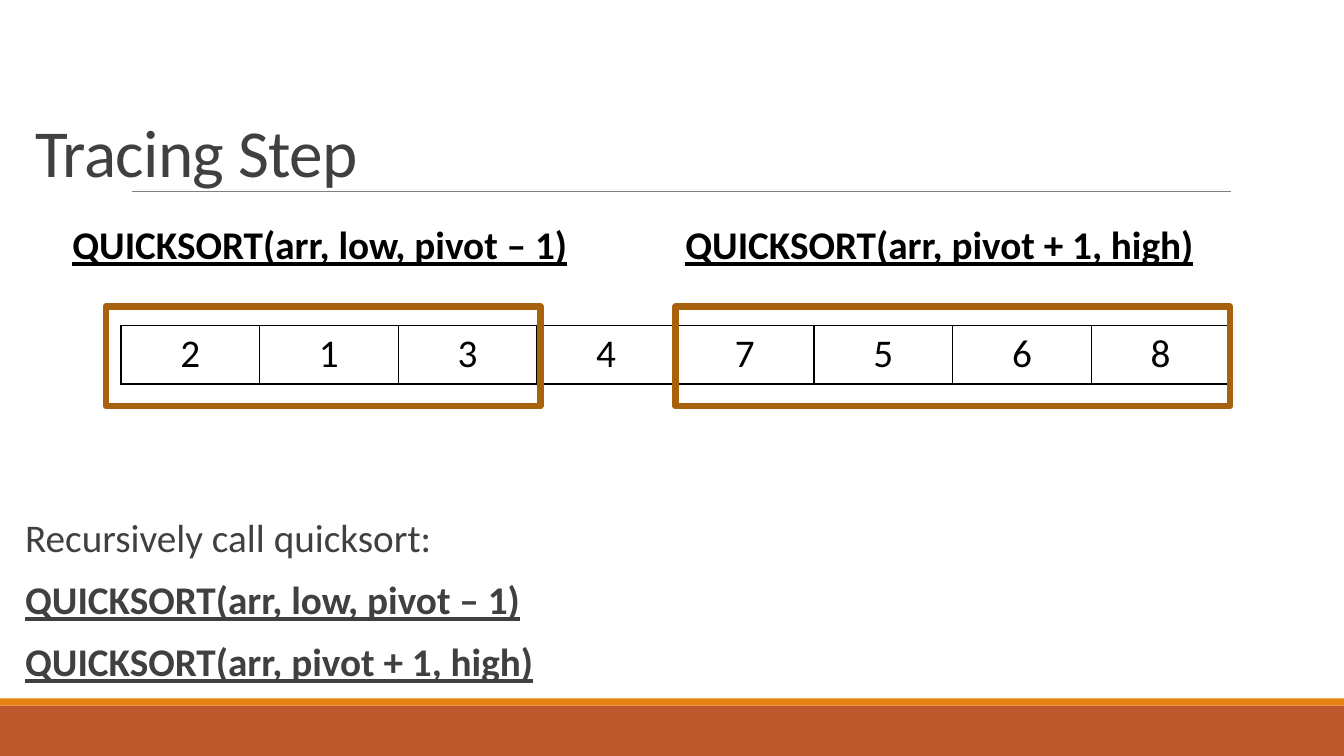
from lxml import etree
from pptx import Presentation
from pptx.dml.color import RGBColor
from pptx.enum.shapes import MSO_CONNECTOR, MSO_SHAPE
from pptx.enum.text import MSO_ANCHOR, PP_ALIGN
from pptx.oxml import parse_xml
from pptx.oxml.ns import nsdecls, qn
from pptx.util import Inches, Pt

RECT = MSO_SHAPE.RECTANGLE
LINE = MSO_CONNECTOR.STRAIGHT
BOTTOM = MSO_ANCHOR.BOTTOM
CENTER = PP_ALIGN.CENTER

BLACK = RGBColor(0x00, 0x00, 0x00)
DARK = RGBColor(0x40, 0x40, 0x40)
GRAY = RGBColor(0x80, 0x80, 0x80)
RUST = RGBColor(0xBD, 0x58, 0x2C)
ORANGE = RGBColor(0xE4, 0x83, 0x12)
BROWN = RGBColor(0xA9, 0x61, 0x0D)

LEFT = "QUICKSORT(arr, low, pivot – 1)"
RIGHT = "QUICKSORT(arr, pivot + 1, high)"
PLAIN = {"name": "Calibri", "size": Pt(28), "bold": False}
CALL = {**PLAIN, "bold": True, "underline": True}
HEAD = {**PLAIN, "size": Pt(48)}
BODY = {"line_spacing": 0.9, "space_before": Pt(12), "space_after": Pt(2)}


def write(para, text, look, color):
    run = para.add_run()
    run.text = text
    for key, value in look.items():
        setattr(run.font, key, value)
    run.font.color.rgb = color
    return run


def place(*box):
    return [Inches(n) for n in box]


deck = Presentation()
deck.slide_width, deck.slide_height = place(13.33, 7.5)
slide = deck.slides.add_slide(deck.slide_layouts[6])
shapes = slide.shapes

for top, high, color in [(7, 0.5, RUST), (6.93, 0.07, ORANGE)]:
    bar = shapes.add_shape(RECT, *place(0, top, 13.33, high))
    bar.shadow.inherit = False
    bar.fill.solid()
    bar.fill.fore_color.rgb = color
    bar.line.fill.background()

rule = shapes.add_connector(LINE, *place(1.31, 1.9, 12.21, 1.9))
rule.line.color.rgb = GRAY
rule.line.width = Pt(0.5)
etree.SubElement(rule.element.spPr, qn("a:effectLst"))

title = shapes.add_textbox(*place(0.25, 0.36, 11, 1.59)).text_frame
title.word_wrap = True
title.vertical_anchor = BOTTOM
title.paragraphs[0].line_spacing = 0.85
run = write(title.paragraphs[0], "Tracing Step", HEAD, DARK)
run.font._element.set("spc", "-50")

items = [2, 1, 3, 4, 7, 5, 6, 8]
table = shapes.add_table(1, len(items), *place(1.2, 3.23, 11, 0.58)).table
table.first_row = False
table.horz_banding = False
for cell, item in zip(table.rows[0].cells, items):
    cell.fill.background()
    para = cell.text_frame.paragraphs[0]
    para.alignment = CENTER
    write(para, str(item), PLAIN, BLACK)
    for spot, side in enumerate("LRTB"):
        edge = parse_xml(
            f'<a:ln{side} {nsdecls("a")} w="12700"><a:solidFill>'
            f'<a:srgbClr val="{BLACK}"/></a:solidFill></a:ln{side}>'
        )
        cell._tc.tcPr.insert(spot, edge)

steps = shapes.add_textbox(*place(0.25, 5.1, 11, 1.9)).text_frame
steps.word_wrap = True
steps.margin_left = steps.margin_right = 0
lines = [("Recursively call quicksort:", PLAIN), (LEFT, CALL), (RIGHT, CALL)]
for spot, (text, look) in enumerate(lines):
    para = steps.add_paragraph() if spot else steps.paragraphs[0]
    for key, value in BODY.items():
        setattr(para, key, value)
    write(para, text, look, DARK)

parts = [(LEFT, 0.62, 5.17, 1.05, 4.31), (RIGHT, 6.7, 5.3, 6.7, 5.5)]
for text, start, span, left, wide in parts:
    frame = shapes.add_shape(RECT, *place(left, 3.04, wide, 0.99))
    frame.shadow.inherit = False
    frame.fill.background()
    frame.line.color.rgb = BROWN
    frame.line.width = Pt(4.5)
    label = shapes.add_textbox(*place(start, 2.14, span, 0.57)).text_frame
    label.word_wrap = False
    write(label.paragraphs[0], text, CALL, BLACK)

deck.save("out.pptx")
